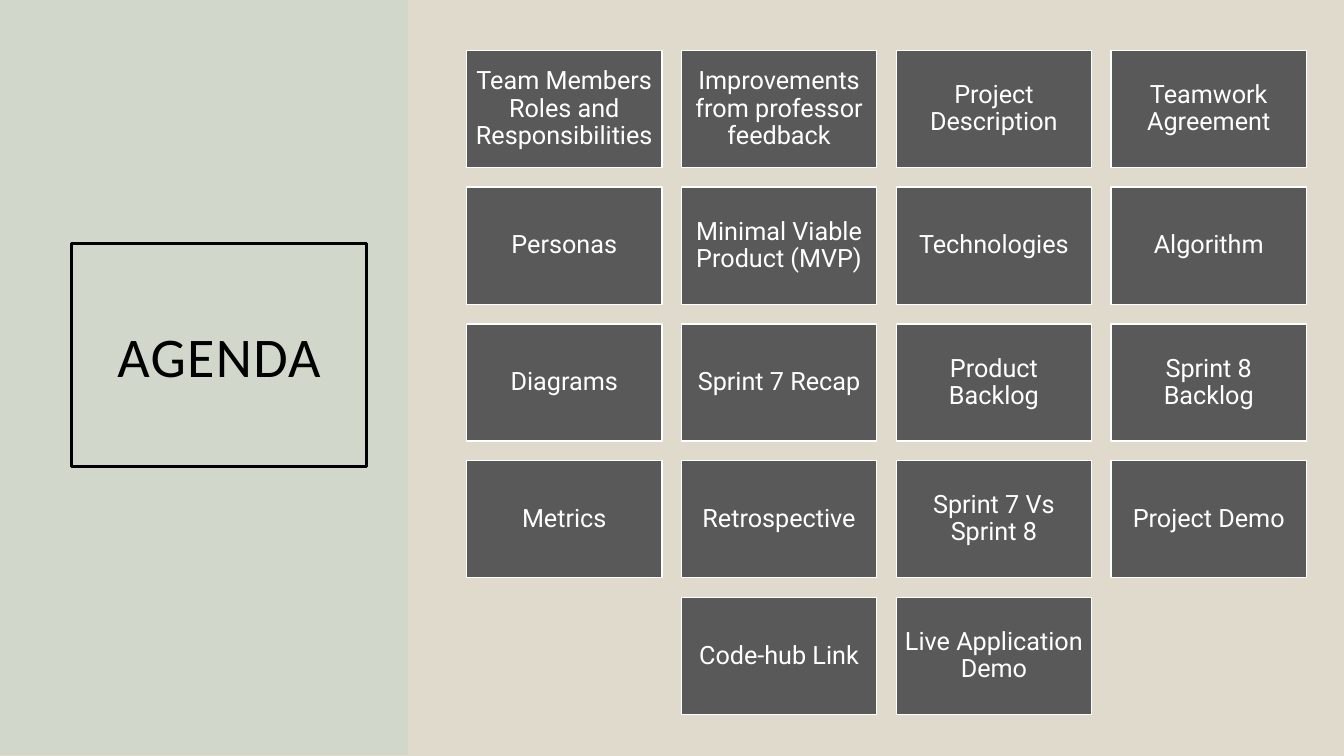
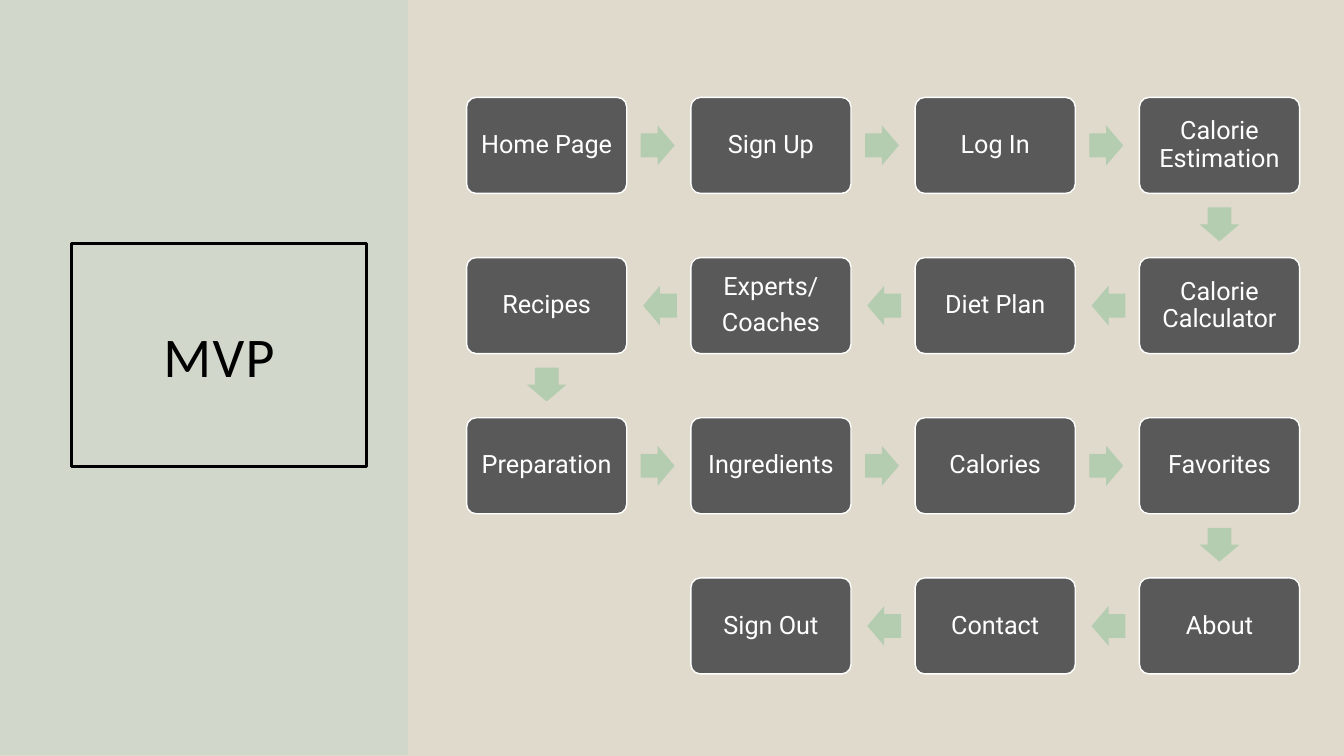
from pptx import Presentation
from pptx.dml.color import RGBColor
from pptx.enum.shapes import MSO_SHAPE
from pptx.enum.text import MSO_ANCHOR, MSO_AUTO_SIZE, PP_ALIGN
from pptx.util import Pt

RECTANGLE = MSO_SHAPE.RECTANGLE
ROUNDED = MSO_SHAPE.ROUNDED_RECTANGLE
ARROW = MSO_SHAPE.RIGHT_ARROW
MIDDLE = MSO_ANCHOR.MIDDLE
NO_AUTOFIT = MSO_AUTO_SIZE.NONE
CENTER = PP_ALIGN.CENTER

COLORS = {
    "background": "E0DACC",
    "band": "D1D7CB",
    "title": "000000",
    "card": "595959",
    "card_text": "FFFFFF",
    "arrow": "B4CCAF",
}
TITLE_FONT = "Calibri"
CARD_FONT = "Roboto"
GRID_LEFT = 333.3
COLUMNS = 4

AGENDA_ROWS = [
    ["Team Members Roles and Responsibilities", "Improvements from professor feedback",
     "Project Description", "Teamwork Agreement"],
    ["Personas", "Minimal Viable Product (MVP)", "Technologies", "Algorithm"],
    ["Diagrams", "Sprint 7 Recap", "Product Backlog", "Sprint 8 Backlog"],
    ["Metrics", "Retrospective", "Sprint 7 Vs Sprint 8", "Project Demo"],
    ["Code-hub Link", "Live Application Demo"],
]
MVP_STEPS = [
    "Home Page", "Sign Up", "Log In", "Calorie Estimation",
    "Calorie Calculator", "Diet Plan", "Experts/\nCoaches", "Recipes",
    "Preparation", "Ingredients", "Calories", "Favorites",
    "About", "Contact", "Sign Out",
]


def add_block(slide, kind, left, top, width, height, color):
    shape = slide.shapes.add_shape(kind, Pt(left), Pt(top), Pt(width), Pt(height))
    shape.shadow.inherit = False
    shape.fill.solid()
    shape.fill.fore_color.rgb = RGBColor.from_string(COLORS[color])
    shape.line.fill.background()
    return shape


def add_card(slide, kind, left, top, width, height, text):
    card = add_block(slide, kind, left, top, width, height, "card")
    card.line.color.rgb = RGBColor.from_string(COLORS["card_text"])
    card.line.width = Pt(1)
    if kind == ROUNDED:
        card.adjustments[0] = 0.1
    frame = card.text_frame
    frame.word_wrap = True
    frame.vertical_anchor = MIDDLE
    frame.margin_left = frame.margin_right = Pt(5)
    frame.margin_top = frame.margin_bottom = Pt(5)
    for index, line in enumerate(text.split("\n")):
        paragraph = frame.add_paragraph() if index else frame.paragraphs[0]
        paragraph.alignment = CENTER
        paragraph.line_spacing = 0.9
        paragraph.space_after = Pt(6.3)
        run = paragraph.add_run()
        run.text = line
        run.font.name = CARD_FONT
        run.font.size = Pt(18)
        run.font.color.rgb = RGBColor.from_string(COLORS["card_text"])


presentation = Presentation()
presentation.slide_width = Pt(960)
presentation.slide_height = Pt(540)

# Shared background
background = presentation.slide_master.background.fill
background.solid()
background.fore_color.rgb = RGBColor.from_string(COLORS["background"])

# Slides with framed titles
layout = presentation.slide_layouts[5]
slides = []
for title_text in ("AGENDA", "MVP"):
    slide = presentation.slides.add_slide(layout)
    title = slide.shapes.title
    title.left, title.top, title.width, title.height = Pt(51), Pt(174), Pt(211), Pt(159)
    title.line.color.rgb = RGBColor.from_string(COLORS["title"])
    title.line.width = Pt(2.25)
    title.text_frame.auto_size = NO_AUTOFIT
    title.text_frame.word_wrap = True
    title.text_frame.vertical_anchor = MIDDLE
    paragraph = title.text_frame.paragraphs[0]
    paragraph.alignment = CENTER
    run = paragraph.add_run()
    run.text = title_text
    run.font.name = TITLE_FONT
    run.font.size = Pt(40)
    run.font.color.rgb = RGBColor.from_string(COLORS["title"])
    run.font._element.set("spc", "100")
    slides.append(slide)
agenda_slide, mvp_slide = slides

# Left band, moved to the layout that both slides use
band = add_block(agenda_slide, RECTANGLE, 0, -0.7, 291.5, 540, "band")
layout.shapes.element.append(band.element)

# Agenda grid, with a short row centred
card_width, card_height, gap = 139.5, 83.7, 13.95
for row, labels in enumerate(AGENDA_ROWS):
    indent = (COLUMNS - len(labels)) / 2
    for column, label in enumerate(labels):
        left = GRID_LEFT + (column + indent) * (card_width + gap)
        top = 36 + row * (card_height + gap)
        add_card(agenda_slide, RECTANGLE, left, top, card_width, card_height, label)

# MVP flow: rows run alternately rightwards and leftwards
step_width, step_height, gap = 114.4, 68.6, 45.8
arrow_width, arrow_height, arrow_shift = 24.2, 28.4, 0.8
for index, label in enumerate(MVP_STEPS):
    row, position = divmod(index, COLUMNS)
    forward = row % 2 == 0
    column = position if forward else COLUMNS - 1 - position
    left = GRID_LEFT + column * (step_width + gap)
    top = 69.6 + row * (step_height + gap)
    add_card(mvp_slide, ROUNDED, left, top, step_width, step_height, label)
    if index == len(MVP_STEPS) - 1:
        continue

    # Arrow to the next step, slightly nearer to this one
    center_x, center_y = left + step_width / 2, top + step_height / 2
    if position == COLUMNS - 1:
        rotation = 90
        center_y += (step_height + gap) / 2 - arrow_shift
    else:
        rotation = 0 if forward else 180
        distance = (step_width + gap) / 2 - arrow_shift
        center_x += distance if forward else -distance
    arrow = add_block(mvp_slide, ARROW, center_x - arrow_width / 2,
                      center_y - arrow_height / 2, arrow_width, arrow_height, "arrow")
    arrow.adjustments[0] = 0.6
    arrow.adjustments[1] = 0.5
    arrow.rotation = rotation

presentation.save("out.pptx")
